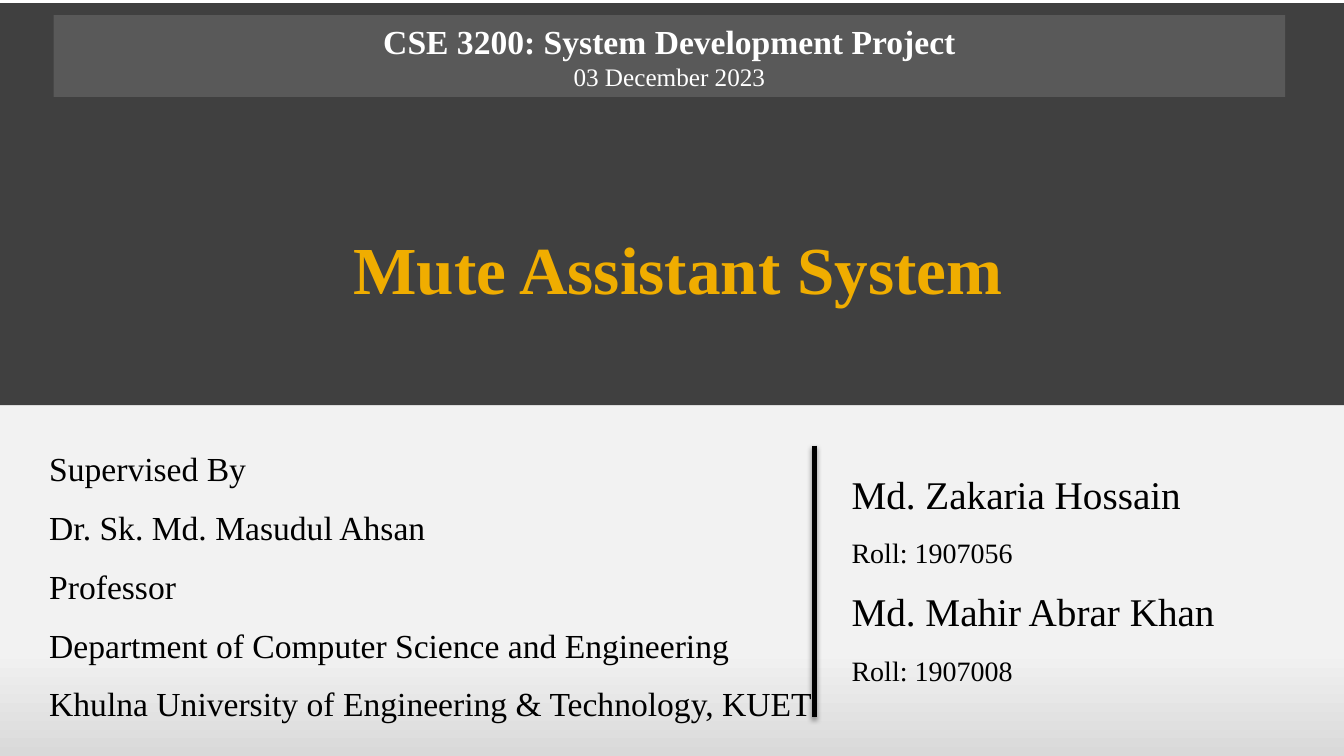
from lxml.etree import SubElement
from pptx import Presentation
from pptx.dml.color import RGBColor
from pptx.enum.shapes import MSO_CONNECTOR, MSO_SHAPE
from pptx.enum.text import MSO_ANCHOR, PP_ALIGN
from pptx.oxml.ns import qn
from pptx.util import Cm, Pt

SERIF = "Times New Roman"


def rgb(code):
    """Turn a hex string into a colour."""
    return RGBColor.from_string(code)


def paint_background(slide, stops):
    """Give the slide a downward gradient through the (position, colour) stops."""
    fill = slide.background.fill
    fill.gradient()
    fill.gradient_angle = 270
    for gradient_stop, (position, colour) in zip(fill.gradient_stops, stops):
        gradient_stop.position = position
        gradient_stop.color.rgb = rgb(colour)


def add_band(slide, left, top, width, height, colour):
    """Add a flat rectangle without outline."""
    band = slide.shapes.add_shape(
        MSO_SHAPE.RECTANGLE, Cm(left), Cm(top), Cm(width), Cm(height))
    band.shadow.inherit = False
    band.fill.solid()
    band.fill.fore_color.rgb = rgb(colour)
    band.line.fill.background()
    return band


def write_lines(frame, lines, colour, align=PP_ALIGN.LEFT, gap=0):
    """Write (text, size, bold) lines as paragraphs with a gap after each."""
    frame.word_wrap = True
    frame.text = "\n".join(text for text, _, _ in lines)
    for paragraph, (_, size, bold) in zip(frame.paragraphs, lines):
        paragraph.alignment = align
        paragraph.space_after = Pt(gap)
        for run in paragraph.runs:
            run.font.name = SERIF
            run.font.size = Pt(size)
            run.font.bold = bold
            run.font.color.rgb = rgb(colour)


def add_text(slide, left, top, width, height, inset, anchor=MSO_ANCHOR.TOP):
    """Add a text box and return its frame."""
    frame = slide.shapes.add_textbox(
        Cm(left), Cm(top), Cm(width), Cm(height)).text_frame
    frame.margin_left, frame.margin_right = Cm(inset), Cm(0.13)
    frame.margin_top = frame.margin_bottom = Cm(0)
    frame.vertical_anchor = anchor
    return frame


def add_divider(slide, x, top, bottom):
    """Add a thick vertical line with a soft shadow below it."""
    divider = slide.shapes.add_connector(
        MSO_CONNECTOR.STRAIGHT, Cm(x), Cm(top), Cm(x), Cm(bottom))
    divider.line.color.rgb = rgb("000000")
    divider.line.width = Pt(3.78)
    effects = SubElement(divider._element.spPr, qn("a:effectLst"))
    shadow = SubElement(
        effects, qn("a:outerShdw"), blurRad=str(Pt(3.5)), dist=str(Pt(2)),
        dir="5400000", rotWithShape="0")
    shade = SubElement(shadow, qn("a:srgbClr"), val="000000")
    SubElement(shade, qn("a:alpha"), val="38000")


def main():
    """Build the title slide and save it."""
    deck = Presentation()
    deck.slide_width, deck.slide_height = Cm(33.87), Cm(19.05)
    slide = deck.slides.add_slide(deck.slide_layouts[6])
    paint_background(slide, [(0.86, "F2F2F2"), (1, "D9D9D9")])
    add_band(slide, 0, 0, 33.87, 3, "FFFFFF")
    add_band(slide, 0, 0.08, 33.87, 10.13, "404040")

    title = add_text(slide, 1.47, 3.84, 31.12, 3.93, 0.25, MSO_ANCHOR.BOTTOM)
    write_lines(title, [("Mute Assistant System", 48, True)],
                "F0AD00", PP_ALIGN.CENTER)

    students = add_text(slide, 21.13, 11.84, 10.11, 5.74, 0.33)
    write_lines(students, [
        ("Md. Zakaria Hossain", 28, False),
        ("Roll: 1907056", 20, False),
        ("Md. Mahir Abrar Khan", 28, False),
        ("Roll: 1907008", 20, False),
    ], "000000", gap=13.3)

    course = add_band(slide, 1.35, 0.38, 31.04, 2.06, "595959").text_frame
    course.vertical_anchor = MSO_ANCHOR.MIDDLE
    write_lines(course, [
        ("CSE 3200: System Development Project", 24, True),
        ("03 December 2023", 18, False),
    ], "FFFFFF", PP_ALIGN.CENTER)

    supervisor = add_text(slide, 0.91, 11.28, 20.85, 7.29, 0.33)
    write_lines(supervisor, [(text, 24, False) for text in (
        "Supervised By",
        "Dr. Sk. Md. Masudul Ahsan",
        "Professor",
        "Department of Computer Science and Engineering",
        "Khulna University of Engineering & Technology, KUET",
    )], "000000", gap=13.3)

    add_divider(slide, 20.52, 11.23, 18.06)
    deck.save("out.pptx")


if __name__ == "__main__":
    main()
